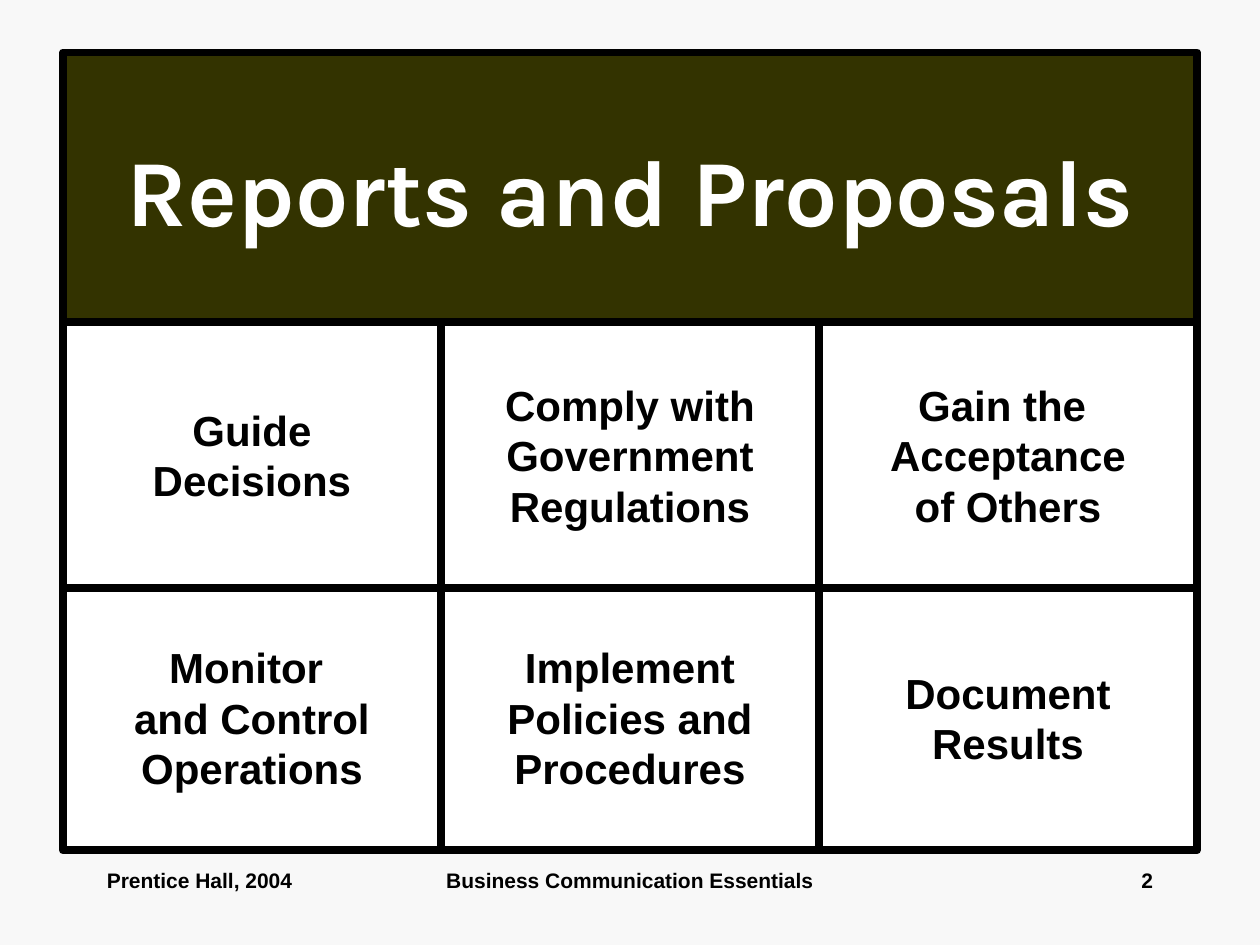
from pptx import Presentation
from pptx.dml.color import RGBColor
from pptx.enum.shapes import MSO_SHAPE
from pptx.enum.text import MSO_ANCHOR, MSO_AUTO_SIZE, PP_ALIGN
from pptx.util import Pt


def color(hex_value):
    return RGBColor.from_string(hex_value)


def write(frame, text, size=24, font="Arial", ink="000000",
          align=PP_ALIGN.CENTER, anchor=MSO_ANCHOR.MIDDLE, wrap=False):
    """Fill a text frame, one paragraph per line of text."""
    frame.text = text
    frame.auto_size = MSO_AUTO_SIZE.NONE
    frame.word_wrap = wrap
    frame.vertical_anchor = anchor
    for paragraph in frame.paragraphs:
        paragraph.alignment = align
        paragraph.font.size = Pt(size)
        paragraph.font.name = font
        paragraph.font.bold = True
        paragraph.font.color.rgb = color(ink)


class Deck:
    paper, panel, banner, ink = "F8F8F8", "FFFFFF", "333300", "000000"
    border = 4.5

    def __init__(self, width, height):
        self.presentation = Presentation()
        self.presentation.slide_width = Pt(width)
        self.presentation.slide_height = Pt(height)
        title_only = self.presentation.slide_layouts[5]
        self.slide = self.presentation.slides.add_slide(title_only)
        background = self.slide.background.fill
        background.solid()
        background.fore_color.rgb = color(self.paper)

    def frame_box(self, box, fill):
        box.fill.solid()
        box.fill.fore_color.rgb = color(fill)
        box.line.color.rgb = color(self.ink)
        box.line.width = Pt(self.border)

    def title(self, text, left, top, width, height):
        heading = self.slide.shapes.title
        heading.left, heading.top = Pt(left), Pt(top)
        heading.width, heading.height = Pt(width), Pt(height)
        self.frame_box(heading, self.banner)
        write(heading.text_frame, text, size=54, font="Karla", ink=self.panel)

    def cell(self, text, left, top, width, height):
        cell = self.slide.shapes.add_shape(
            MSO_SHAPE.RECTANGLE, Pt(left), Pt(top), Pt(width), Pt(height))
        cell.shadow.inherit = False
        self.frame_box(cell, self.panel)
        write(cell.text_frame, text, ink=self.ink)

    def footer(self, text, left, width, align):
        footer = self.slide.shapes.add_textbox(
            Pt(left), Pt(492), Pt(width), Pt(36))
        write(footer.text_frame, text, size=12, ink=self.ink, align=align,
              anchor=MSO_ANCHOR.TOP, wrap=True)


def main():
    deck = Deck(720, 540)

    # Title banner
    left, column_width = 36, 216
    deck.title("Reports and Proposals", left, 30, 3 * column_width, 156)

    # Purposes grid: rows overlap slightly, the upper one in front
    first_row, row_step, row_height = 184, 150, 152
    purposes = [
        ["Guide\nDecisions", "Comply with\nGovernment\nRegulations",
         "Gain the \nAcceptance\nof Others"],
        ["Monitor \nand Control\nOperations",
         "Implement\nPolicies and\nProcedures", "Document\nResults"],
    ]
    for row, texts in reversed(list(enumerate(purposes))):
        for column, purpose in enumerate(texts):
            deck.cell(purpose, left + column * column_width,
                      first_row + row * row_step, column_width, row_height)

    # Footer
    deck.footer("Prentice Hall, 2004", 54, 150, PP_ALIGN.LEFT)
    deck.footer("Business Communication Essentials", 246, 228, PP_ALIGN.CENTER)
    deck.footer("2", 516, 150, PP_ALIGN.RIGHT)

    deck.presentation.save("out.pptx")


if __name__ == "__main__":
    main()
